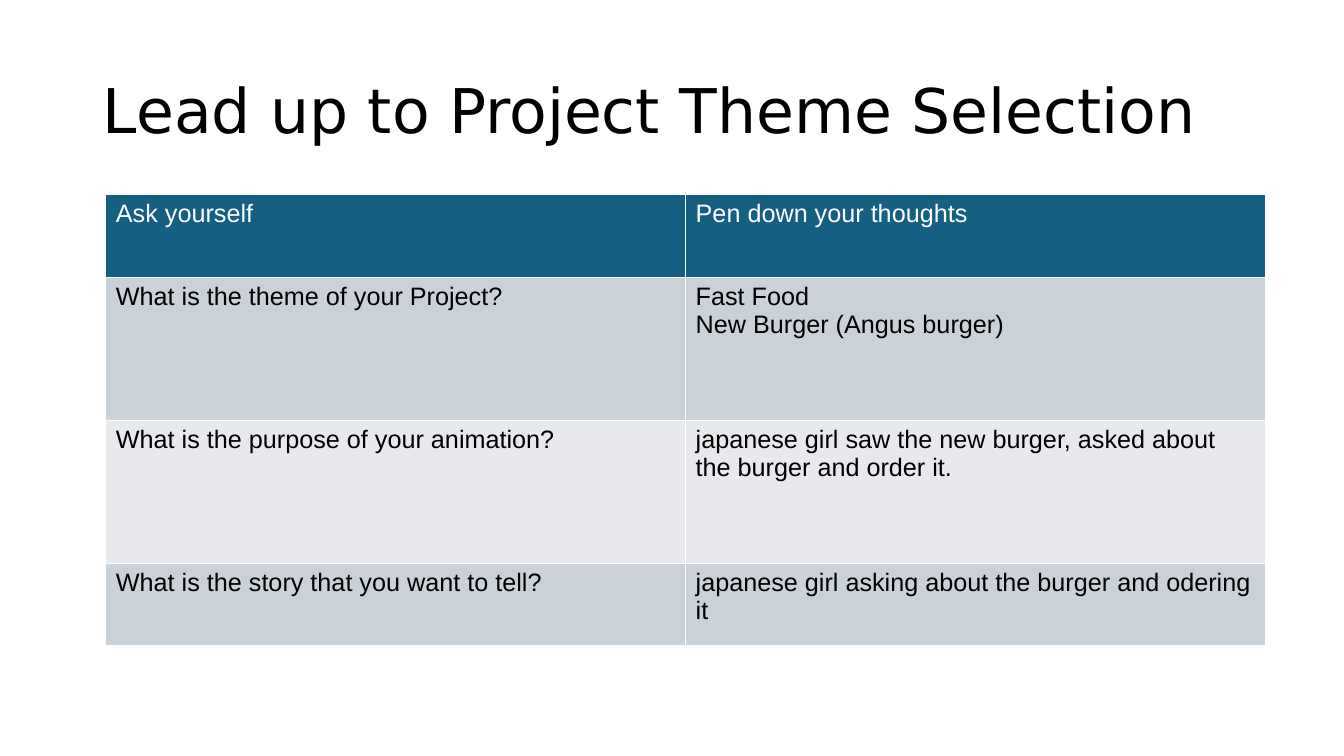
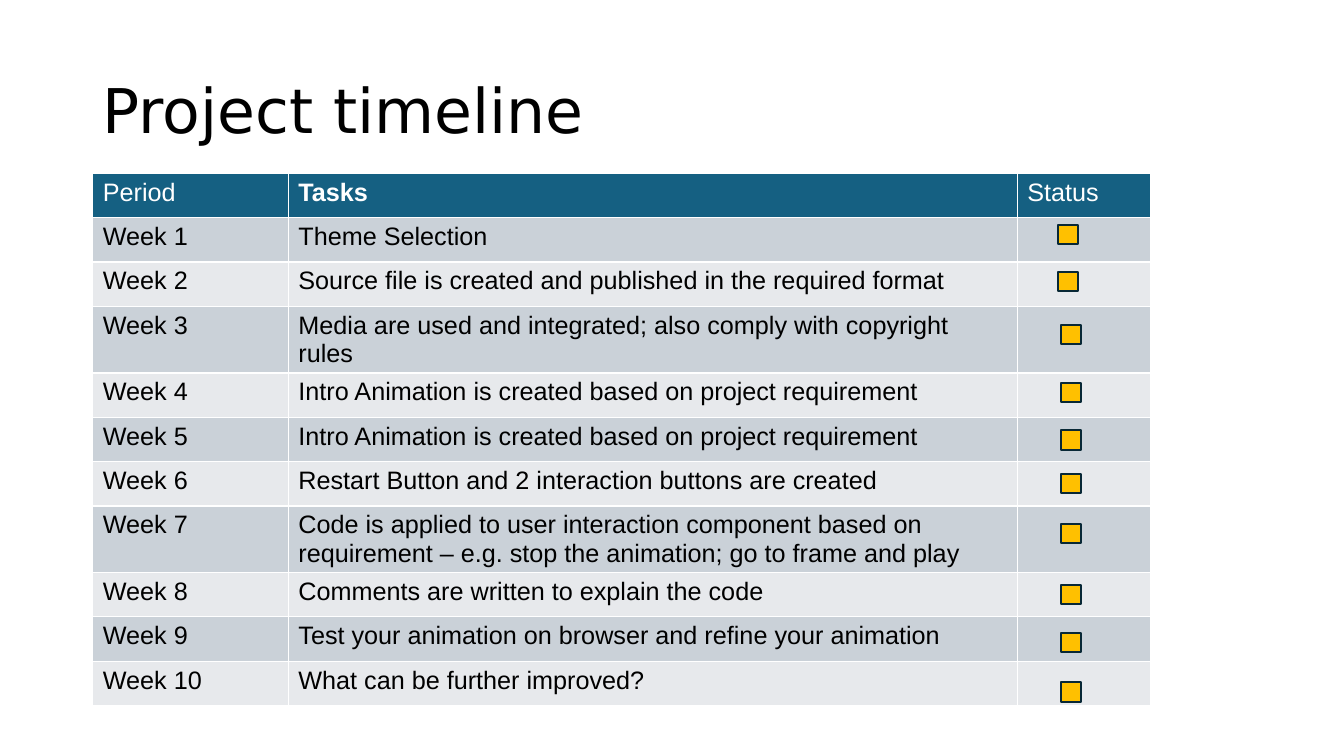
from pptx import Presentation
from pptx.dml.color import RGBColor
from pptx.enum.shapes import MSO_SHAPE
from pptx.enum.text import MSO_ANCHOR, MSO_AUTO_SIZE, PP_ALIGN
from pptx.util import Emu, Pt

BLACK = RGBColor(0x00, 0x00, 0x00)
WHITE = RGBColor(0xFF, 0xFF, 0xFF)
TEAL = RGBColor(0x15, 0x60, 0x82)
BAND_DARK = RGBColor(0xCA, 0xD1, 0xD8)
BAND_LIGHT = RGBColor(0xE7, 0xE9, 0xEC)
AMBER = RGBColor(0xFF, 0xC0, 0x00)
NAVY = RGBColor(0x08, 0x28, 0x36)
TITLE_FONT = "DejaVu Sans"
BODY_FONT = "Arial"

THEME_ROWS = [
    ["Ask yourself", "Pen down your thoughts"],
    ["What is the theme of your Project?", "Fast Food\nNew Burger (Angus burger)"],
    ["What is the purpose of your animation?",
     "japanese girl saw the new burger, asked about the burger and order it."],
    ["What is the story that you want to tell?",
     "japanese girl asking about the burger and odering it"],
]
TASKS = [
    "Theme Selection",
    "Source file is created and published in the required format",
    "Media are used and integrated; also comply with copyright rules",
    "Intro Animation is created based on project requirement",
    "Intro Animation is created based on project requirement",
    "Restart Button and 2 interaction buttons are created",
    "Code is applied to user interaction component based on requirement"
    " – e.g. stop the animation; go to frame and play",
    "Comments are written to explain the code",
    "Test your animation on browser and refine your animation",
    "What can be further improved?",
]
TASK_HEIGHTS = [44, 44, 66, 44, 44, 44, 66, 44, 44, 44]
MARKERS = [(1049, 223), (1049, 270), (1052, 322), (1052, 380), (1052, 427),
           (1052, 470), (1052, 520), (1052, 580), (1052, 628), (1052, 677)]


def px(n):
    """Turn px, 100 to the inch, into EMU."""
    return Emu(n * 9144)


def add_run(p, text, font, size, color, bold=False):
    """Add one formatted run to a paragraph."""
    r = p.add_run()
    r.text = text
    r.font.name = font
    r.font.size = Pt(size)
    r.font.color.rgb = color
    r.font.bold = bold


def add_titled_slide(prs, text):
    """Add a slide with its left-aligned title."""
    s = prs.slides.add_slide(prs.slide_layouts.get_by_name("Title Only"))
    sp = s.shapes.title
    sp.left, sp.top, sp.width, sp.height = map(px, (92, 40, 1150, 145))
    tf = sp.text_frame
    tf.word_wrap = True
    tf.auto_size = MSO_AUTO_SIZE.NONE
    tf.vertical_anchor = MSO_ANCHOR.MIDDLE
    p = tf.paragraphs[0]
    p.alignment = PP_ALIGN.LEFT
    p.line_spacing = 0.9
    add_run(p, text, TITLE_FONT, 44, BLACK)
    return s


def fill_cell(cell, text, fill, color, bold):
    """Fill a cell and write one paragraph per text line."""
    cell.fill.solid()
    cell.fill.fore_color.rgb = fill
    tf = cell.text_frame
    for i, line in enumerate(text.splitlines()):
        p = tf.add_paragraph() if i else tf.paragraphs[0]
        add_run(p, line, BODY_FONT, 18, color, bold)


def add_banded_table(s, left, top, widths, heights, rows, bold_heads=()):
    """Add a table with a teal header and alternating row bands."""
    table = s.shapes.add_table(len(rows), len(widths), px(left), px(top),
                               px(sum(widths)), px(sum(heights))).table
    for col, width in zip(table.columns, widths):
        col.width = px(width)
    for i, (row, height, texts) in enumerate(zip(table.rows, heights, rows)):
        row.height = px(height)
        band = BAND_DARK if i % 2 else BAND_LIGHT
        fill, color = (band, BLACK) if i else (TEAL, WHITE)
        for cell, text in zip(row.cells, texts):
            fill_cell(cell, text, fill, color, i == 0 and text in bold_heads)


def add_marker(s, left, top):
    """Add a status square."""
    sp = s.shapes.add_shape(MSO_SHAPE.RECTANGLE, px(left), px(top), px(20), px(19))
    sp.shadow.inherit = False
    sp.fill.solid()
    sp.fill.fore_color.rgb = AMBER
    sp.line.color.rgb = NAVY
    sp.line.width = Pt(1.5)


def main():
    """Build and save both slides."""
    prs = Presentation()
    prs.slide_width, prs.slide_height = px(1333), px(750)

    s = add_titled_slide(prs, "Lead up to Project Theme Selection")
    add_banded_table(s, 105, 193, [575, 575], [82, 142, 142, 82], THEME_ROWS)

    s = add_titled_slide(prs, "Project timeline")
    weeks = [[f"Week {n}", task, ""] for n, task in enumerate(TASKS, 1)]
    add_banded_table(s, 92, 172, [194, 723, 132], [44, *TASK_HEIGHTS],
                     [["Period", "Tasks", "Status"], *weeks], ("Tasks",))
    for left, top in MARKERS:
        add_marker(s, left, top)

    prs.save("out.pptx")


if __name__ == "__main__":
    main()
